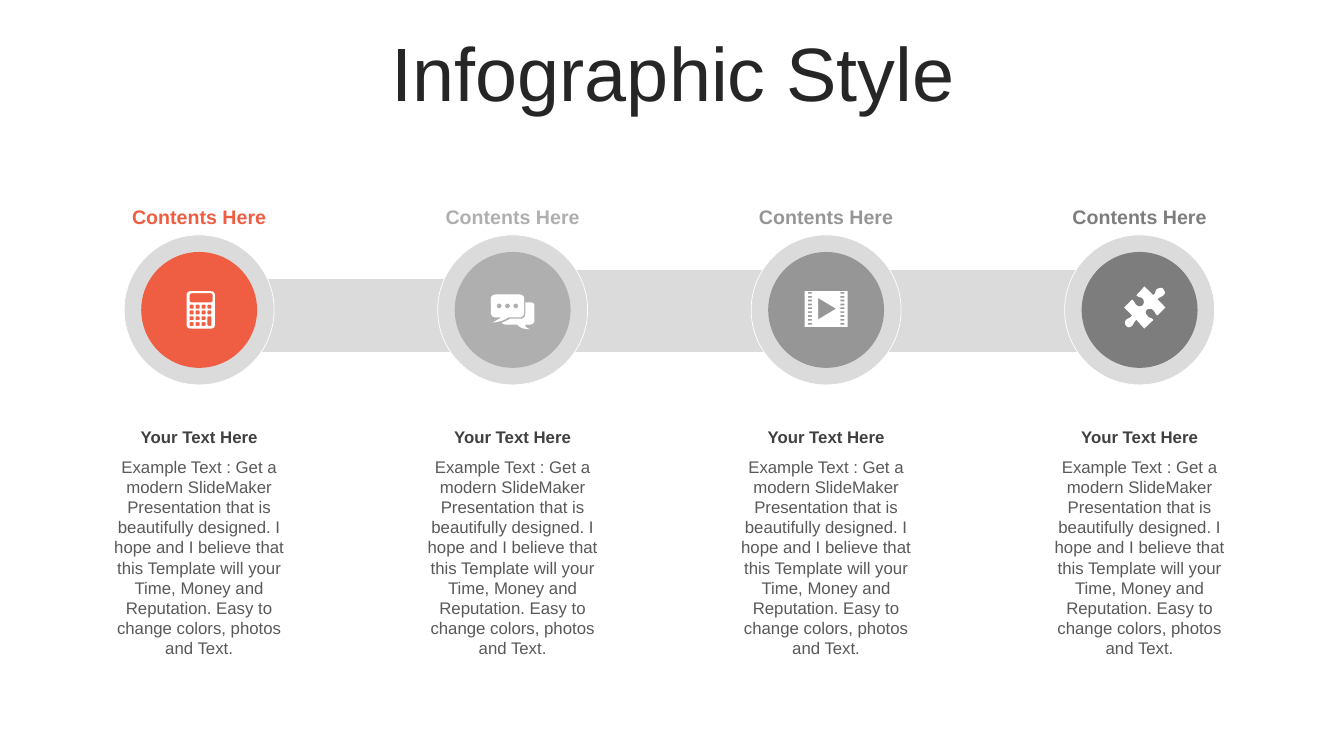
from pptx import Presentation
from pptx.dml.color import RGBColor
from pptx.enum.shapes import MSO_SHAPE
from pptx.enum.text import MSO_ANCHOR, PP_ALIGN
from pptx.util import Cm, Pt

TITLE = "Infographic Style"
CAPTION = "Contents Here"
HEADING = "Your Text Here"
BODY = ("Example Text : Get a modern SlideMaker Presentation that is "
        "beautifully designed. I hope and I believe that this Template will "
        "your Time, Money and Reputation. Easy to change colors, photos and Text.")
COLORS = ("EF5E42", "AFAFAF", "969696", "7D7D7D")
WHITE, GREY = "FFFFFF", "DBDBDB"

FIRST, STEP, MID = 5.02, 7.9, 7.81
RING, DISC = 3.78, 2.92
BARS = ((12.93, 6.78, 6.88, 2.11), (19.51, 6.78, 9.25, 2.11),
        (5.03, 7.01, 8.46, 1.88))
# wording, top, width, height, font
LABELS = (
    (CAPTION, 5.05, 5.74, 0.86, dict(size=Pt(14), bold=True)),
    (HEADING, 10.62, 5.41, 0.76, dict(size=Pt(12), bold=True, color="404040")),
    (BODY, 11.38, 5.41, 5.38, dict(size=Pt(12), color="595959")),
)

# Icon outlines, in hundredths of a cm around the icon centre:
# a pair is a corner, six numbers are a curve (two handles and the end).
FRONT = [(-42, -44), (17, -44), (24, -44, 29, -39, 29, -34), (29, 1),
         (29, 9, 24, 14, 17, 14), (-11, 14), (-24, 22, -29, 24, -50, 27),
         (-37, 19, -37, 19, -29, 14), (-42, 14), (-50, 14, -55, 9, -55, 1),
         (-55, -34), (-55, -39, -50, -44, -42, -44)]
BACK = [(32, -24), (44, -24), (50, -24, 55, -22, 55, -14), (55, 22),
        (55, 27, 50, 32, 44, 32), (32, 32), (32, 37, 32, 39, 44, 44),
        (24, 42, 22, 42, 11, 32), (-16, 32), (-22, 32, -27, 29, -27, 27),
        (-19, 24, -14, 22, -6, 17), (22, 17), (27, 17, 32, 12, 32, 4)]
PUZZLE = [(47, -46), (50, -43, 53, -35, 48, -32), (43, -26, 37, -27, 32, -21),
          (52, 0), (32, 20), (24, 15, 27, 10, 19, 5), (17, 2, 9, 3, 6, 5),
          (1, 8, 1, 15, 6, 20), (11, 28, 14, 23, 22, 31), (-1, 53), (-21, 31),
          (-29, 38, -27, 41, -32, 46), (-37, 51, -44, 51, -47, 46),
          (-50, 43, -52, 36, -47, 31), (-42, 26, -37, 28, -32, 20),
          (-52, 0), (-32, -20), (-24, -15, -27, -10, -19, -5),
          (-17, -2, -9, -3, -6, -5), (-1, -10, -1, -18, -6, -23),
          (-11, -28, -14, -23, -21, -31), (-1, -53), (22, -31),
          (29, -38, 25, -41, 30, -46), (37, -51, 44, -51, 47, -46)]


def block(x, y, w, h, r=0):
    """Outline of a rectangle with corner radius r."""
    right, low = x + w, y + h
    if not r:
        return [(x, y), (right, y), (right, low), (x, low)]
    k = 0.45 * r
    return [(x + r, y), (right - r, y),
            (right - k, y, right, y + k, right, y + r), (right, low - r),
            (right, low - k, right - k, low, right - r, low), (x + r, low),
            (x + k, low, x, low - k, x, low - r), (x, y + r),
            (x, y + k, x + k, y, x + r, y)]


def keypad():
    parts = [block(-35.5, -47, 71, 94, 9), block(-28, -42, 58, 23, 5)]
    for col in range(4):
        for row in range(4):
            if (col, row) == (3, 3):
                continue
            tall = 24.5 if (col, row) == (3, 2) else 10
            parts.append(block(-28 + 15 * col, -13 + 14.5 * row, 10, tall, 2))
    return parts


def film():
    holes = [block(x, -42 + 9.7 * row, 10, 4.3)
             for x in (-46, 36) for row in range(9)]
    return [block(-54, -44.5, 108, 90), [(-20, -27), (-20, 27), (25, 0)], *holes]


def chat():
    return [FRONT, BACK, *(block(x - 6, -21, 12, 12, 6) for x in (-34, -13, 8))]


# outlines, shift from the ring centre in cm
ICONS = ((keypad(), 0.04, 0), (chat(), 0, 0.05),
         (film(), 0, -0.03), ([PUZZLE], 0.13, -0.06))


def rgb(code):
    return RGBColor.from_string(code)


def trace(outline, steps=6):
    """Points along an outline, with curves cut into short lines."""
    points = []
    for part in outline:
        if len(part) == 2:
            points.append(part)
            continue
        x, y = points[-1]
        a, b, c, d, e, f = part
        for n in range(1, steps + 1):
            t = n / steps
            u = 1 - t
            points.append(tuple(
                u**3 * p + 3 * u * u * t * q + 3 * u * t * t * r + t**3 * s
                for p, q, r, s in ((x, a, c, e), (y, b, d, f))))
    return [(10 * x, 10 * y) for x, y in points]


def paint(shape, fill, edge=None):
    shape.shadow.inherit = False
    shape.fill.solid()
    shape.fill.fore_color.rgb = rgb(fill)
    if edge:
        shape.line.color.rgb = rgb(edge)
        shape.line.width = Pt(0.5)
    else:
        shape.line.fill.background()


def write(slide, text, box, look, anchor=MSO_ANCHOR.TOP):
    frame = slide.shapes.add_textbox(*map(Cm, box)).text_frame
    frame.word_wrap = True
    frame.vertical_anchor = anchor
    para = frame.paragraphs[0]
    para.text = text
    para.alignment = PP_ALIGN.CENTER
    font = para.runs[0].font
    font.name = "Arial"
    for key, value in look.items():
        if key == "color":
            font.color.rgb = rgb(value)
        else:
            setattr(font, key, value)
    return para


def circle(slide, x, size, fill, edge=None):
    box = (x - size / 2, MID - size / 2, size, size)
    paint(slide.shapes.add_shape(MSO_SHAPE.OVAL, *map(Cm, box)), fill, edge)


def icon(slide, outlines, x, y):
    first, *rest = map(trace, outlines)
    pen = slide.shapes.build_freeform(*first[0], scale=Cm(0.001))
    pen.add_line_segments(first[1:], close=True)
    for points in rest:
        pen.move_to(*points[0])
        pen.add_line_segments(points[1:], close=True)
    paint(pen.convert_to_shape(Cm(x), Cm(y)), WHITE)


def main():
    deck = Presentation()
    deck.slide_width, deck.slide_height = Cm(33.87), Cm(19.05)
    slide = deck.slides.add_slide(deck.slide_layouts[6])
    title = write(slide, TITLE, (0.89, 0.94, 32.16, 2.01),
                  dict(size=Pt(54), color="262626"), MSO_ANCHOR.MIDDLE)
    title.line_spacing = 0.9
    for bar in BARS:
        shape = slide.shapes.add_shape(MSO_SHAPE.RECTANGLE, *map(Cm, bar))
        paint(shape, GREY, WHITE)
    for n, (color, (outlines, dx, dy)) in enumerate(zip(COLORS, ICONS)):
        x = FIRST + n * STEP
        circle(slide, x, RING, GREY, WHITE)
        circle(slide, x, DISC, color)
        icon(slide, outlines, x + dx, MID + dy)
        for text, top, wide, high, look in LABELS:
            write(slide, text, (x - wide / 2, top, wide, high),
                  {"color": color, **look})
    deck.save("out.pptx")


if __name__ == "__main__":
    main()
